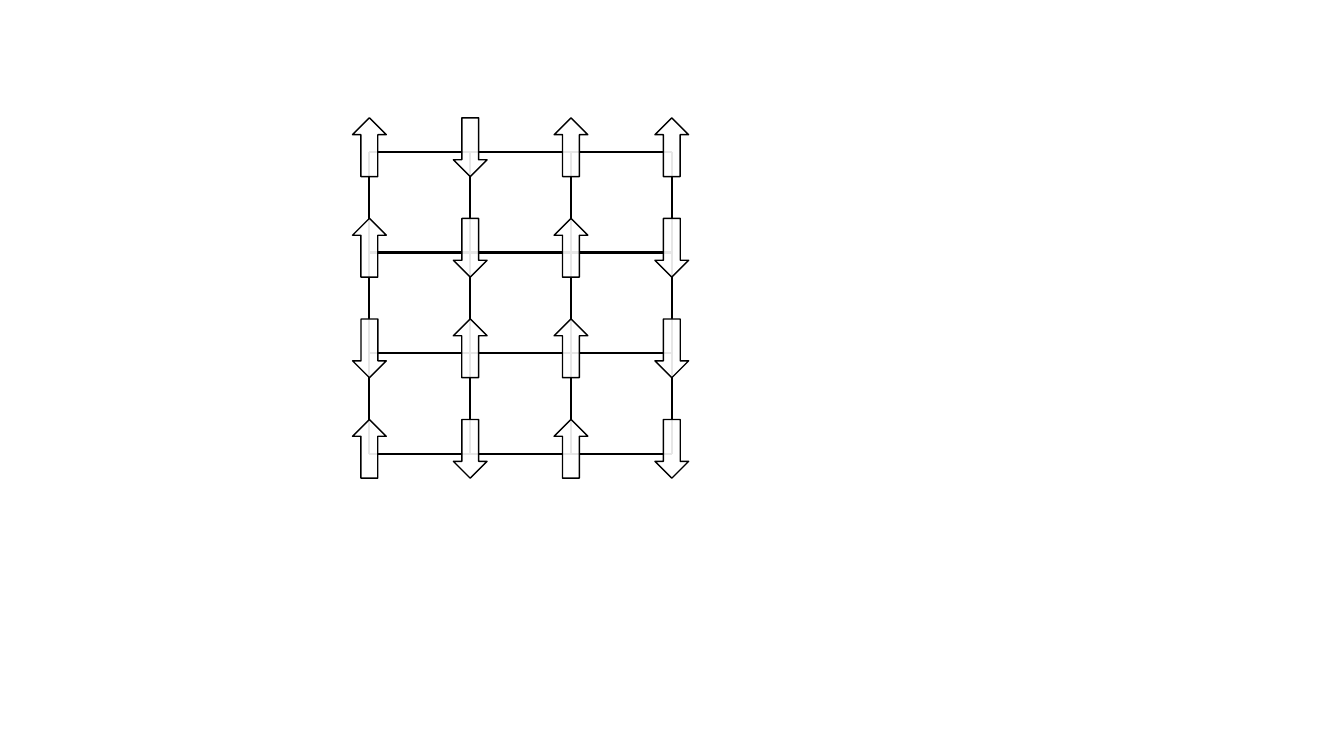
from dataclasses import dataclass

from lxml import etree
from pptx import Presentation
from pptx.dml.color import RGBColor
from pptx.enum.shapes import MSO_CONNECTOR, MSO_SHAPE
from pptx.oxml.ns import qn
from pptx.util import Cm, Pt

STRAIGHT = MSO_CONNECTOR.STRAIGHT
UP_ARROW = MSO_SHAPE.UP_ARROW


@dataclass(frozen=True)
class Theme:
    """Colours, line weights and opacity of the spin lattice."""
    ink: RGBColor = RGBColor(0x00, 0x00, 0x00)
    paper: RGBColor = RGBColor(0xFF, 0xFF, 0xFF)
    bond_weight: Pt = Pt(1.5)
    spin_weight: Pt = Pt(1)
    spin_opacity: int = 90


THEME = Theme()
SPINS = ["↑↓↑↑", "↑↓↑↓", "↓↑↑↓", "↑↓↑↓"]
SPIN_WIDTH, SPIN_HEIGHT = Cm(0.85), Cm(1.48)
SPIN_RISE = Cm(0.86)


def add_bond(slide, x1, y1, x2, y2):
    """Draw one straight line of the lattice."""
    bond = slide.shapes.add_connector(STRAIGHT, x1, y1, x2, y2)
    bond.line.color.rgb = THEME.ink
    bond.line.width = THEME.bond_weight
    etree.SubElement(bond._element.spPr, qn("a:effectLst"))


def add_spin(slide, x, y, direction):
    """Draw one up or down spin on the lattice site at x, y."""
    spin = slide.shapes.add_shape(
        UP_ARROW, x - SPIN_WIDTH // 2, y - SPIN_RISE, SPIN_WIDTH, SPIN_HEIGHT)
    spin.rotation = 180 if direction == "↓" else 0
    spin.shadow.inherit = False
    spin.fill.solid()
    spin.fill.fore_color.rgb = THEME.paper
    tint = spin._element.spPr.find(qn("a:solidFill"))[0]
    etree.SubElement(tint, qn("a:alpha"), val=str(THEME.spin_opacity * 1000))
    spin.line.color.rgb = THEME.ink
    spin.line.width = THEME.spin_weight


def add_lattice(slide, left, top, width, height):
    """Draw the square lattice in its box with a spin on every site."""
    columns = [left + width * i // (len(SPINS[0]) - 1) for i in range(len(SPINS[0]))]
    rows = [top + height * i // (len(SPINS) - 1) for i in range(len(SPINS))]
    for y in rows:
        add_bond(slide, left, y, left + width, y)
    for x in columns:
        add_bond(slide, x, top, x, top + height)
    for y, row_spins in zip(rows, SPINS):
        for x, direction in zip(columns, row_spins):
            add_spin(slide, x, y, direction)


def main():
    """Build the slide and save it."""
    deck = Presentation()
    deck.slide_width, deck.slide_height = Cm(33.87), Cm(19.05)
    slide = deck.slides.add_slide(deck.slide_layouts[6])
    add_lattice(slide, Cm(9.31), Cm(3.83), Cm(7.62), Cm(7.6))
    deck.save("out.pptx")


if __name__ == "__main__":
    main()
